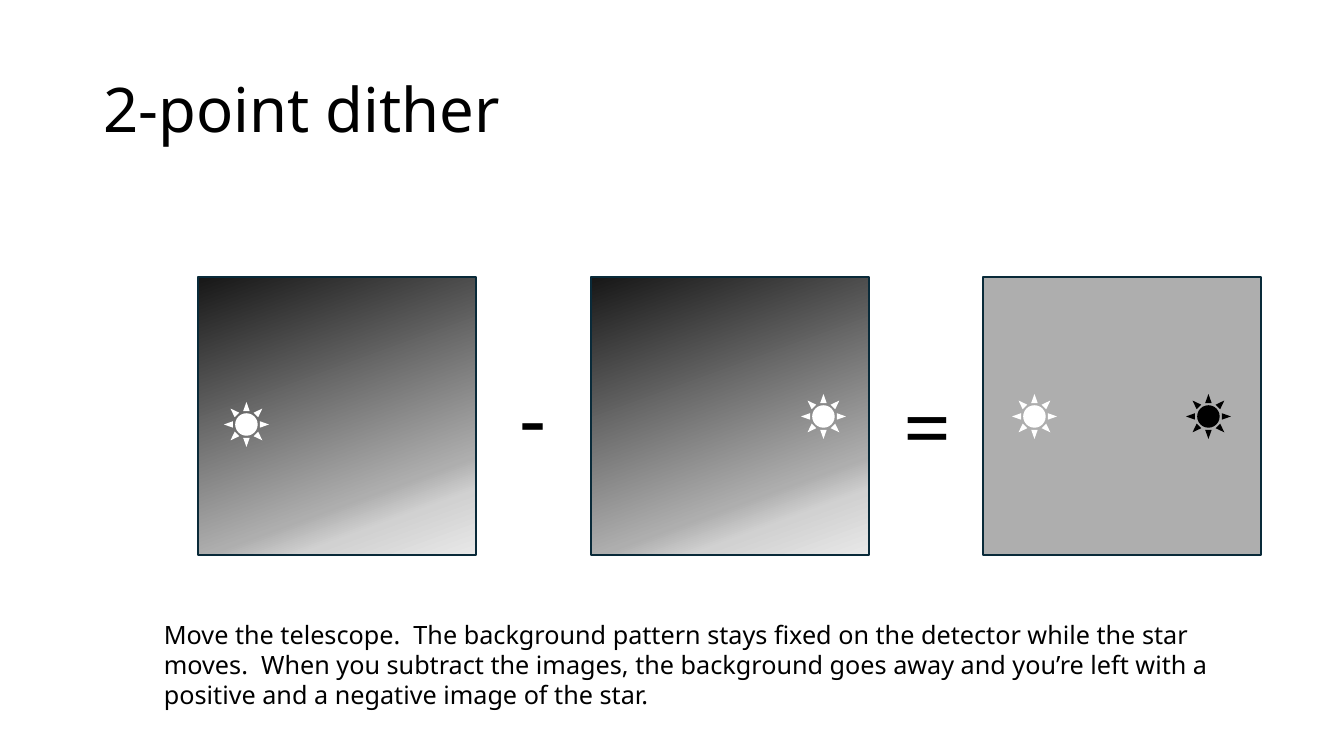
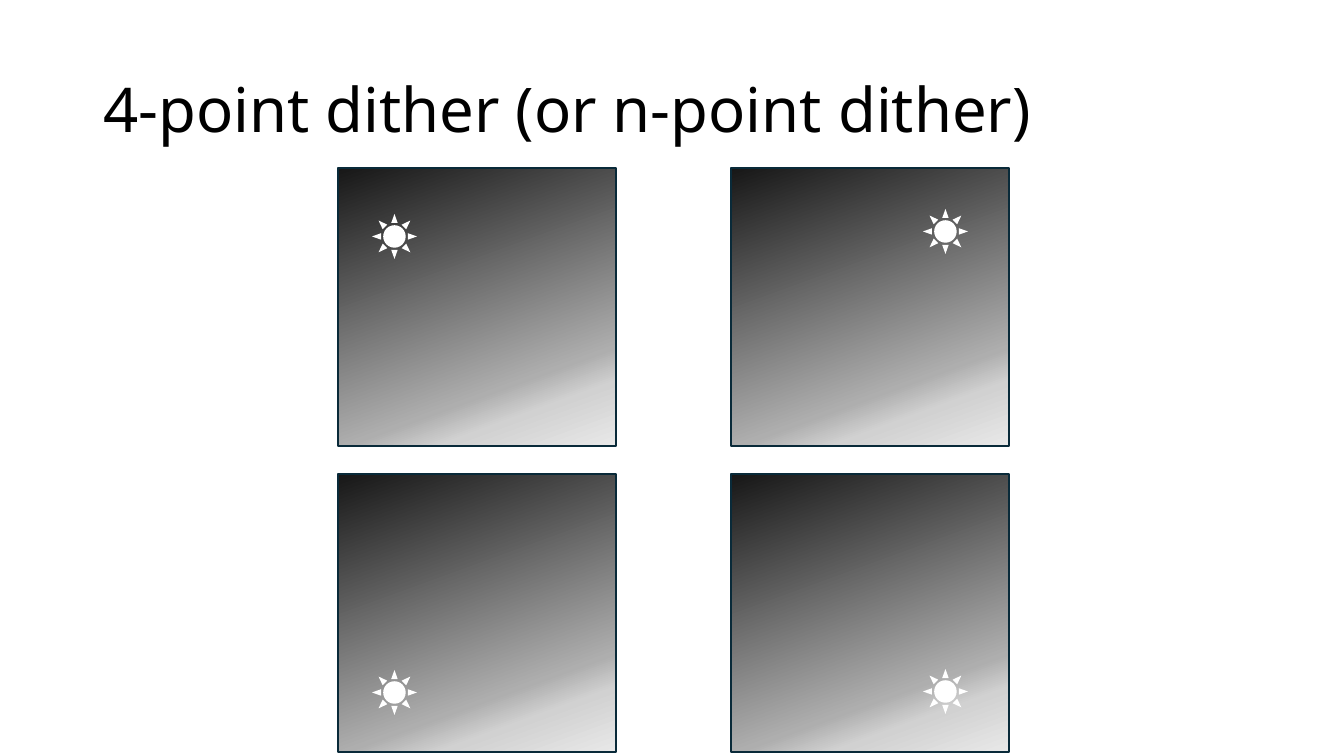
import itertools
from dataclasses import dataclass

import lxml.etree
import pptx
import pptx.util
from pptx.dml.color import RGBColor
from pptx.enum.shapes import MSO_SHAPE
from pptx.enum.text import MSO_ANCHOR, MSO_AUTO_SIZE, PP_ALIGN
from pptx.oxml.ns import qn

SLIDE_WIDTH, SLIDE_HEIGHT = 1344, 756
EMU_PER_PX = 12192000 / SLIDE_WIDTH
TITLE_ONLY = 5
FRAME = 278
SUN = 45


def px(length):
    return pptx.util.Emu(round(length * EMU_PER_PX))


@dataclass(frozen=True)
class Theme:
    font: str = "Noto Sans"
    title_size: int = 44
    sign_size: int = 60
    caption_size: int = 18
    line_width: float = 1.5
    black: str = "000000"
    white: str = "FFFFFF"
    grey: str = "AEAEAE"
    outline: str = "092A39"
    background_stops: tuple = ((0, "171717"), (74, "AEAEAE"), (83, "D1D1D1"), (100, "E8E8E8"))
    background_angle: int = 70


class Deck:
    def __init__(self, theme):
        self.theme = theme
        self.presentation = pptx.Presentation()
        self.presentation.slide_width = px(SLIDE_WIDTH)
        self.presentation.slide_height = px(SLIDE_HEIGHT)
        self.slide = None

    def add_slide(self, title):
        layout = self.presentation.slide_layouts[TITLE_ONLY]
        self.slide = self.presentation.slides.add_slide(layout)
        shape = self.slide.shapes.title
        box = {"left": 93, "top": 40, "width": 1159, "height": 146}
        for name, length in box.items():
            setattr(shape, name, px(length))
        self.fill_text(shape, title, self.theme.title_size, line_spacing=0.9)
        shape.text_frame.vertical_anchor = MSO_ANCHOR.MIDDLE

    def fill_text(self, shape, text, size, alignment=PP_ALIGN.LEFT, **spacing):
        """Fill a shape's text frame with one styled paragraph."""
        frame = shape.text_frame
        frame.word_wrap = True
        frame.auto_size = MSO_AUTO_SIZE.NONE
        paragraph = frame.paragraphs[0]
        for name, value in {"alignment": alignment, **spacing}.items():
            setattr(paragraph, name, value)
        run = paragraph.add_run()
        run.text = text
        style = {"name": self.theme.font, "size": pptx.util.Pt(size)}
        for name, value in style.items():
            setattr(run.font, name, value)
        run.font.color.rgb = RGBColor.from_string(self.theme.black)

    def text(self, left, top, width, height, text, size, alignment=PP_ALIGN.LEFT):
        box = self.slide.shapes.add_textbox(px(left), px(top), px(width), px(height))
        self.fill_text(box, text, size, alignment)

    def sign(self, left, top, symbol):
        self.text(left, top, 65, 112, symbol, self.theme.sign_size, PP_ALIGN.CENTER)

    def square(self, kind, left, top, size):
        shape = self.slide.shapes.add_shape(kind, px(left), px(top), px(size), px(size))
        shape.shadow.inherit = False
        return shape

    def frame(self, left, top, color=None):
        """Draw a detector image: the background gradient unless a color is given."""
        shape = self.square(MSO_SHAPE.RECTANGLE, left, top, FRAME)
        if color:
            shape.fill.solid()
            shape.fill.fore_color.rgb = RGBColor.from_string(color)
        else:
            self.gradient(shape)
        shape.line.color.rgb = RGBColor.from_string(self.theme.outline)
        shape.line.width = pptx.util.Pt(self.theme.line_width)

    def gradient(self, shape):
        shape.fill.gradient()
        shape.fill.gradient_angle = 360 - self.theme.background_angle
        stops = shape.element.spPr.find(qn("a:gradFill")).find(qn("a:gsLst"))
        for stop in list(stops):
            stops.remove(stop)
        for percent, color in self.theme.background_stops:
            stop = lxml.etree.SubElement(stops, qn("a:gs"), pos=str(percent * 1000))
            lxml.etree.SubElement(stop, qn("a:srgbClr"), val=color)

    def sun(self, left, top, color=None):
        shape = self.square(MSO_SHAPE.SUN, left, top, SUN)
        shape.fill.solid()
        shape.fill.fore_color.rgb = RGBColor.from_string(color or self.theme.white)
        shape.line.fill.background()


def two_point_slide(deck):
    theme = deck.theme
    deck.add_slide("2-point dither")
    for left, color in ((198, None), (591, None), (983, theme.grey)):
        deck.frame(left, 277, color)
    deck.sign(501, 361, "-")
    deck.sign(894, 370, "=")
    deck.sun(224, 402)
    for left, color in ((801, theme.white), (1012, theme.white), (1186, theme.black)):
        deck.sun(left, 394, color)
    deck.text(
        154, 614, 1108, 102,
        "Move the telescope.  The background pattern stays fixed on the detector "
        "while the star moves.  When you subtract the images, the background goes "
        "away and you’re left with a positive and a negative image of the star.",
        theme.caption_size,
    )


def four_point_slide(deck):
    deck.add_slide("4-point dither (or n-point dither)")
    for top, left in itertools.product((168, 474), (338, 731)):
        deck.frame(left, top)
    for left, top in ((372, 214), (923, 209), (372, 670), (923, 669)):
        deck.sun(left, top)


def main():
    deck = Deck(Theme())
    two_point_slide(deck)
    four_point_slide(deck)
    deck.presentation.save("out.pptx")


if __name__ == "__main__":
    main()
